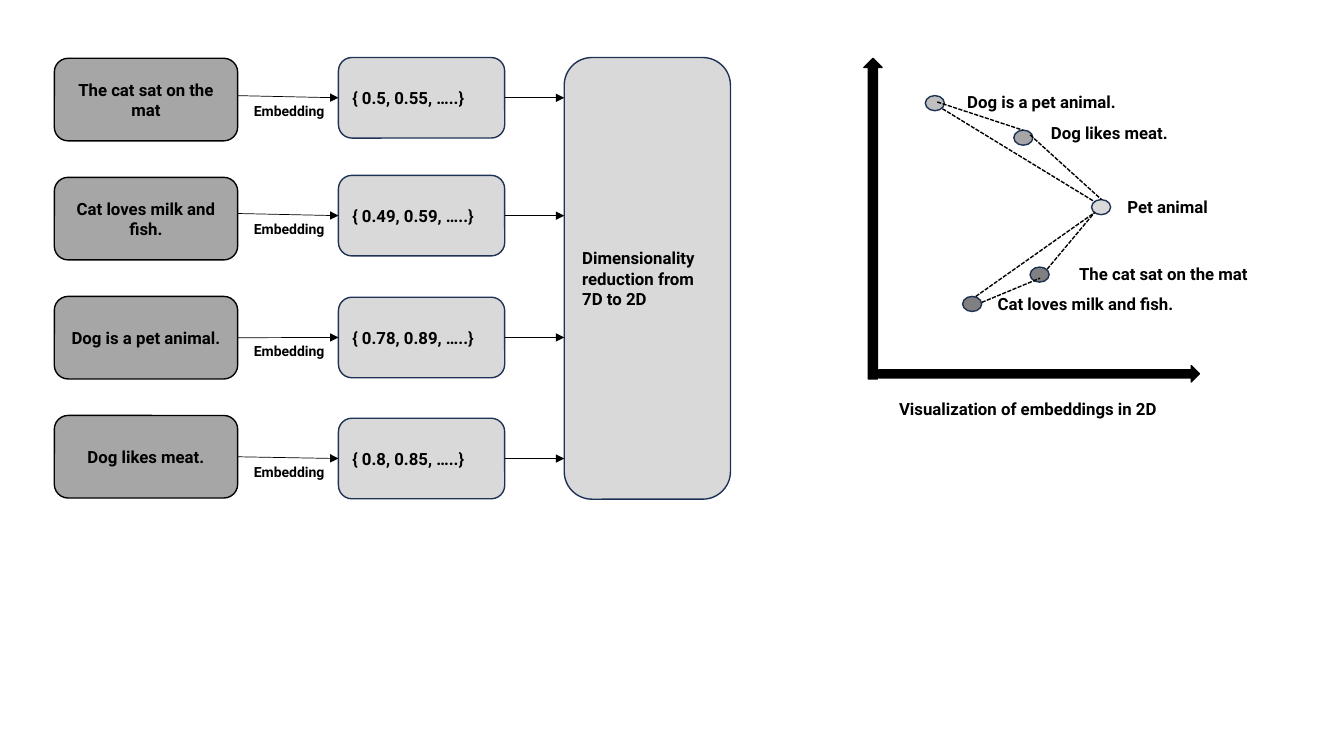
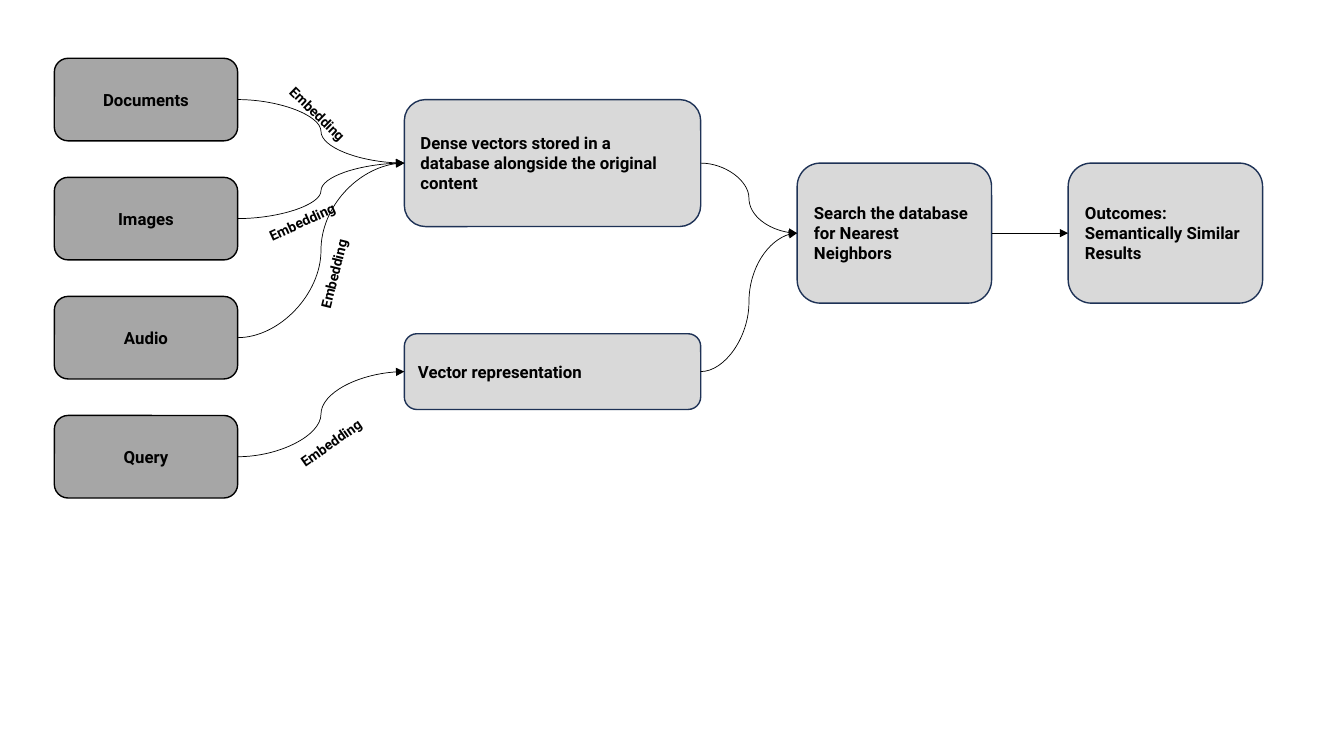
from lxml import etree
from pptx import Presentation
from pptx.dml.color import RGBColor
from pptx.enum.dml import MSO_LINE
from pptx.enum.shapes import MSO_CONNECTOR, MSO_SHAPE
from pptx.enum.text import MSO_ANCHOR, MSO_AUTO_SIZE, PP_ALIGN
from pptx.oxml.ns import qn
from pptx.util import Cm, Pt

ROUNDED = MSO_SHAPE.ROUNDED_RECTANGLE
ELLIPSE = MSO_SHAPE.OVAL
UP_ARROW = MSO_SHAPE.UP_ARROW
STRAIGHT = MSO_CONNECTOR.STRAIGHT
CURVE = MSO_CONNECTOR.CURVE
DASH = MSO_LINE.SQUARE_DOT
MIDDLE = MSO_ANCHOR.MIDDLE
FIT_TEXT = MSO_AUTO_SIZE.SHAPE_TO_FIT_TEXT
LEFT, CENTER = PP_ALIGN.LEFT, PP_ALIGN.CENTER
LEFT_SIDE, RIGHT_SIDE = 1, 3

COLORS = {
    "black": "000000",
    "navy": "1E3256",
    "dark": "808080",
    "source": "A6A6A6",
    "silver": "BFBFBF",
    "light": "D9D9D9",
}
FONT = "Roboto"
SOURCE_LEFT, SOURCE_TOP, SOURCE_STEP = 1.37, 1.47, 3
SOURCE_WIDTH, SOURCE_HEIGHT = 4.62, 2.08


def color(name):
    return RGBColor.from_string(COLORS[name])


class Deck:
    def __init__(self):
        self.presentation = Presentation()
        self.presentation.slide_width = Cm(33.87)
        self.presentation.slide_height = Cm(19.05)
        self.slide = None

    def new_slide(self):
        layout = self.presentation.slide_layouts[6]
        self.slide = self.presentation.slides.add_slide(layout)

    def set_text(self, shape, text, size, align=LEFT):
        frame = shape.text_frame
        frame.word_wrap = True
        paragraph = frame.paragraphs[0]
        paragraph.text = text
        paragraph.alignment = align
        paragraph.font.name = FONT
        paragraph.font.size = Pt(size)
        paragraph.font.bold = True
        paragraph.font.color.rgb = color("black")

    def shape(self, kind, left, top, width, height, fill=None, line=None):
        shape = self.slide.shapes.add_shape(
            kind, Cm(left), Cm(top), Cm(width), Cm(height))
        shape.shadow.inherit = False
        if fill:
            shape.fill.solid()
            shape.fill.fore_color.rgb = color(fill)
        else:
            shape.fill.background()
        if line:
            shape.line.color.rgb = color(line)
            shape.line.width = Pt(1)
        else:
            shape.line.fill.background()
        return shape

    def box(self, text, left, top, width, height,
            fill="light", line="navy", align=LEFT):
        box = self.shape(ROUNDED, left, top, width, height, fill, line)
        box.text_frame.vertical_anchor = MIDDLE
        self.set_text(box, text, 12, align)
        return box

    def sources(self, texts):
        return [
            self.box(text, SOURCE_LEFT, SOURCE_TOP + row * SOURCE_STEP,
                     SOURCE_WIDTH, SOURCE_HEIGHT, "source", "black", CENTER)
            for row, text in enumerate(texts)
        ]

    def plain_label(self, text, left, top, width, height=0.51):
        self.box(text, left, top, width, height, fill=None, line=None)

    def embedding_label(self, left, top, rotation=0):
        label = self.slide.shapes.add_textbox(
            Cm(left), Cm(top), Cm(3.33), Cm(0.69))
        label.rotation = rotation
        self.set_text(label, "Embedding", 10)
        label.text_frame.auto_size = FIT_TEXT

    def axis(self, left, top, width, rotation=0):
        arrow = self.shape(UP_ARROW, left, top, width, 8.08, "black", "black")
        arrow.rotation = rotation

    def connector(self, kind, start, end, width):
        connector = self.slide.shapes.add_connector(kind, *start, *end)
        connector.line.color.rgb = color("black")
        connector.line.width = Pt(width)
        etree.SubElement(connector.element.spPr, qn("a:effectLst"))
        return connector

    def dashed_line(self, start, end):
        line = self.connector(
            STRAIGHT, map(Cm, start), map(Cm, end), 1)
        line.line.dash_style = DASH

    def arrow(self, begin, end, kind=STRAIGHT):
        begin_joined, end_joined = (
            not isinstance(item, tuple) for item in (begin, end))
        start_point = ((begin.left + begin.width, begin.top + begin.height // 2)
                       if begin_joined else begin)
        end_point = ((end.left, end.top + end.height // 2)
                     if end_joined else end)
        arrow = self.connector(kind, start_point, end_point, 0.5)
        outline = arrow.element.spPr.find(qn("a:ln"))
        etree.SubElement(outline, qn("a:tailEnd"), type="triangle")
        if begin_joined:
            arrow.begin_connect(begin, RIGHT_SIDE)
        if end_joined:
            arrow.end_connect(end, LEFT_SIDE)


def embedding_slide(deck):
    deck.new_slide()
    sentences = ["The cat sat on the mat", "Cat loves milk and fish.",
                 "Dog is a pet animal.", "Dog likes meat."]
    sources = deck.sources(sentences)
    reduction = deck.box("Dimensionality reduction from 7D to 2D",
                         14.22, 1.45, 4.19, 11.13)
    source_right = Cm(SOURCE_LEFT + SOURCE_WIDTH)
    vectors = [
        ("{ 0.5, 0.55, …..}", 1.45, (source_right, Cm(2.41))),
        ("{ 0.49, 0.59, …..}", 4.42, (source_right, Cm(5.38))),
        ("{ 0.78, 0.89, …..}", 7.49, sources[2]),
        ("{ 0.8, 0.85, …..}", 10.54, sources[3]),
    ]
    for text, top, begin in vectors:
        vector = deck.box(text, 8.53, top, 4.19, 2.03)
        deck.embedding_label(6.15, top + 1.02)
        deck.arrow(begin, vector)
        middle = vector.top + vector.height // 2
        deck.arrow(vector, (reduction.left, middle))

    deck.axis(21.77, 1.47, 0.46)
    deck.axis(25.98, 5.38, 0.41, 90)
    points = [
        (23.32, 2.41, "silver"),
        (25.55, 3.28, "source"),
        (25.96, 6.73, "dark"),
        (24.26, 7.47, "dark"),
        (27.51, 5.03, "light"),
    ]
    for left, top, fill in points:
        deck.shape(ELLIPSE, left, top, 0.48, 0.38, fill, "navy")

    label_places = [(26.92, 6.65, 6.3), (24.87, 7.39, 6.3),
                    (24.1, 2.31, 5.72), (26.21, 3.1, 5.72)]
    for text, place in zip(sentences, label_places):
        deck.plain_label(text, *place)
    deck.plain_label("Pet animal", 28.14, 4.95, 5.72)
    deck.plain_label("Visualization of embeddings in 2D",
                     22.38, 10.01, 7.77, 0.56)

    for start, end in [
        ((26.39, 6.78), (27.58, 5.36)),
        ((24.59, 7.47), (27.58, 5.36)),
        ((24.74, 7.62), (26.21, 7.01)),
        ((23.75, 2.74), (27.58, 5.08)),
        ((25.96, 3.4), (27.76, 5.03)),
        ((23.62, 2.57), (25.78, 3.28)),
    ]:
        deck.dashed_line(start, end)


def search_slide(deck):
    deck.new_slide()
    *contents, query = deck.sources(["Documents", "Images", "Audio", "Query"])
    database = deck.box(
        "Dense vectors stored in a database alongside the original content",
        10.19, 2.51, 7.47, 3.2)
    vector = deck.box("Vector representation", 10.19, 8.41, 7.47, 1.91)
    search = deck.box("Search the database for Nearest Neighbors",
                      20.09, 4.11, 4.9, 3.53)
    outcomes = deck.box("Outcomes: Semantically Similar Results",
                        26.92, 4.11, 4.9, 3.53)
    links = [(content, database) for content in contents]
    links += [(query, vector), (database, search),
              (vector, search), (search, outcomes)]
    for begin, end in links:
        deck.arrow(begin, end, CURVE)
    for left, top, rotation in [
        (6.71, 2.9, 44.3),
        (6.88, 6.05, 284),
        (7.11, 10.52, 324.9),
        (6.43, 5.03, 335.4),
    ]:
        deck.embedding_label(left, top, rotation)


def main():
    deck = Deck()
    embedding_slide(deck)
    search_slide(deck)
    deck.presentation.save("out.pptx")


if __name__ == "__main__":
    main()
